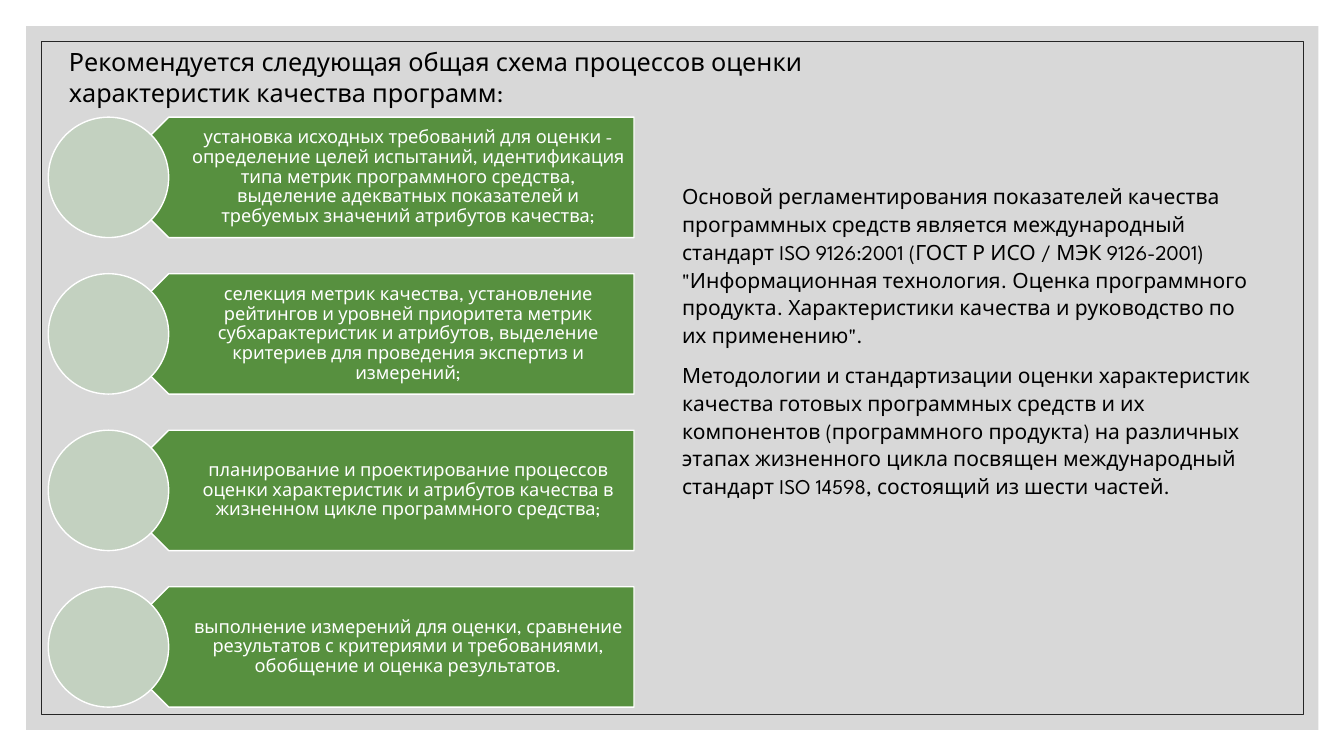
import pptx
import pptx.util
import pptx.dml.color
import pptx.enum.shapes
import pptx.enum.text
import pptx.oxml.ns
import lxml.etree

Pt = pptx.util.Pt
SHAPES = pptx.enum.shapes.MSO_SHAPE
ALIGN = pptx.enum.text.PP_ALIGN
ANCHOR = pptx.enum.text.MSO_ANCHOR
FONT = "League Spartan"
COLORS = {"panel": "BFBFBF", "frame": "262626", "arrow": "57903F",
          "circle": "C3D1C0", "white": "FFFFFF", "text": "000000"}

TITLE = "Рекомендуется следующая общая схема процессов оценки характеристик качества программ:"
STEPS = [
    "установка исходных требований для оценки - определение целей испытаний, "
    "идентификация типа метрик программного средства, выделение адекватных "
    "показателей и требуемых значений атрибутов качества;",
    "селекция метрик качества, установление рейтингов и уровней приоритета метрик "
    "субхарактеристик и атрибутов, выделение критериев для проведения экспертиз и измерений;",
    "планирование и проектирование процессов оценки характеристик и атрибутов "
    "качества в жизненном цикле программного средства;",
    "выполнение измерений для оценки, сравнение результатов с критериями и "
    "требованиями, обобщение и оценка результатов.",
]
STANDARDS = [
    "Основой регламентирования показателей качества программных средств является "
    "международный стандарт ISO 9126:2001 (ГОСТ Р ИСО / МЭК 9126-2001) "
    "\"Информационная технология. Оценка программного продукта. Характеристики "
    "качества и руководство по их применению\".",
    "Методологии и стандартизации оценки характеристик качества готовых программных "
    "средств и их компонентов (программного продукта) на различных этапах жизненного "
    "цикла посвящен международный стандарт ISO 14598, состоящий из шести частей.",
]


def color(name):
    return pptx.dml.color.RGBColor.from_string(COLORS[name])


def place(shape, box):
    shape.left, shape.top, shape.width, shape.height = (Pt(value) for value in box)


def write(shape, texts, size, fill="text", align=ALIGN.LEFT, anchor=ANCHOR.TOP,
          spacing=1.0, before=0, after=0, insets=(7.2, 3.6, 7.2, 3.6)):
    frame = shape.text_frame
    frame.word_wrap = True
    frame.auto_size = pptx.enum.text.MSO_AUTO_SIZE.NONE
    frame.vertical_anchor = anchor
    (frame.margin_left, frame.margin_top,
     frame.margin_right, frame.margin_bottom) = (Pt(inset) for inset in insets)
    for index, text in enumerate(texts):
        para = frame.paragraphs[0] if index == 0 else frame.add_paragraph()
        para.alignment, para.line_spacing = align, spacing
        para.space_before, para.space_after = Pt(before), Pt(after)
        span = para.add_run()
        span.text = text
        span.font.name, span.font.size = FONT, Pt(size)
        span.font.color.rgb = color(fill)


def draw(page, kind, box, fill=None, line=None, width=1):
    shape = page.shapes.add_shape(kind, *(Pt(value) for value in box))
    shape.shadow.inherit = False
    if fill:
        shape.fill.solid()
        shape.fill.fore_color.rgb = color(fill)
    else:
        shape.fill.background()
    if line:
        shape.line.color.rgb = color(line)
        shape.line.width = Pt(width)
    else:
        shape.line.fill.background()
    return shape


def add_backdrop(page, box):
    left, top, width, height = box
    # Translucent panel
    panel = draw(page, SHAPES.RECTANGLE, box, fill="panel")
    tint = panel.element.spPr.find(".//" + pptx.oxml.ns.qn("a:srgbClr"))
    lxml.etree.SubElement(tint, pptx.oxml.ns.qn("a:alpha"), val="60000")
    # Thin inner frame
    gap = 10.8
    draw(page, SHAPES.RECTANGLE,
         (left + gap, top + gap, width - 2 * gap, height - 2 * gap),
         line="frame", width=0.5)


def add_steps(page, box):
    left, top, width, height = box
    size = 86
    pitch = (height - size) / (len(STEPS) - 1)
    for index, step in enumerate(STEPS):
        row = top + index * pitch
        # Arrow pointing left, with its tip under the circle
        arrow = draw(page, SHAPES.PENTAGON, (left + size / 2, row, width - size / 2, size),
                     fill="arrow", line="white")
        arrow.rotation = 180
        # Label, upright over the arrow
        indent = 0.75 * size
        label = page.shapes.add_textbox(Pt(left + indent), Pt(row), Pt(width - indent), Pt(size))
        write(label, [step], 13, fill="white", align=ALIGN.CENTER, anchor=ANCHOR.MIDDLE,
              spacing=0.9, after=4.55, insets=(38, 3.6, 7.2, 3.6))
        draw(page, SHAPES.OVAL, (left, row, size, size), fill="circle", line="white")


def add_title(page, box):
    title = page.shapes.title
    place(title, box)
    write(title, [TITLE], 18)
    title.element.getparent().append(title.element)


def add_standards(page, box):
    body = page.placeholders[1]
    place(body, box)
    write(body, STANDARDS, 15, spacing=1.1, before=9)
    # Plain paragraphs: no bullets or hanging indents
    for para in body.text_frame.paragraphs:
        properties = para._p.get_or_add_pPr()
        properties.set("marL", "0")
        properties.set("indent", "0")
        lxml.etree.SubElement(properties, pptx.oxml.ns.qn("a:buNone"))
    body.element.getparent().append(body.element)


def build_page(deck):
    page = deck.slides.add_slide(deck.slide_layouts[1])
    add_backdrop(page, (18.7, 18.7, 923, 502.6))
    add_standards(page, (480, 126, 425, 303))
    add_steps(page, (34.5, 83.7, 418.4, 421.4))
    add_title(page, (42, 29.7, 550, 51))


deck = pptx.Presentation()
deck.slide_width, deck.slide_height = Pt(960), Pt(540)
build_page(deck)
deck.save("out.pptx")
